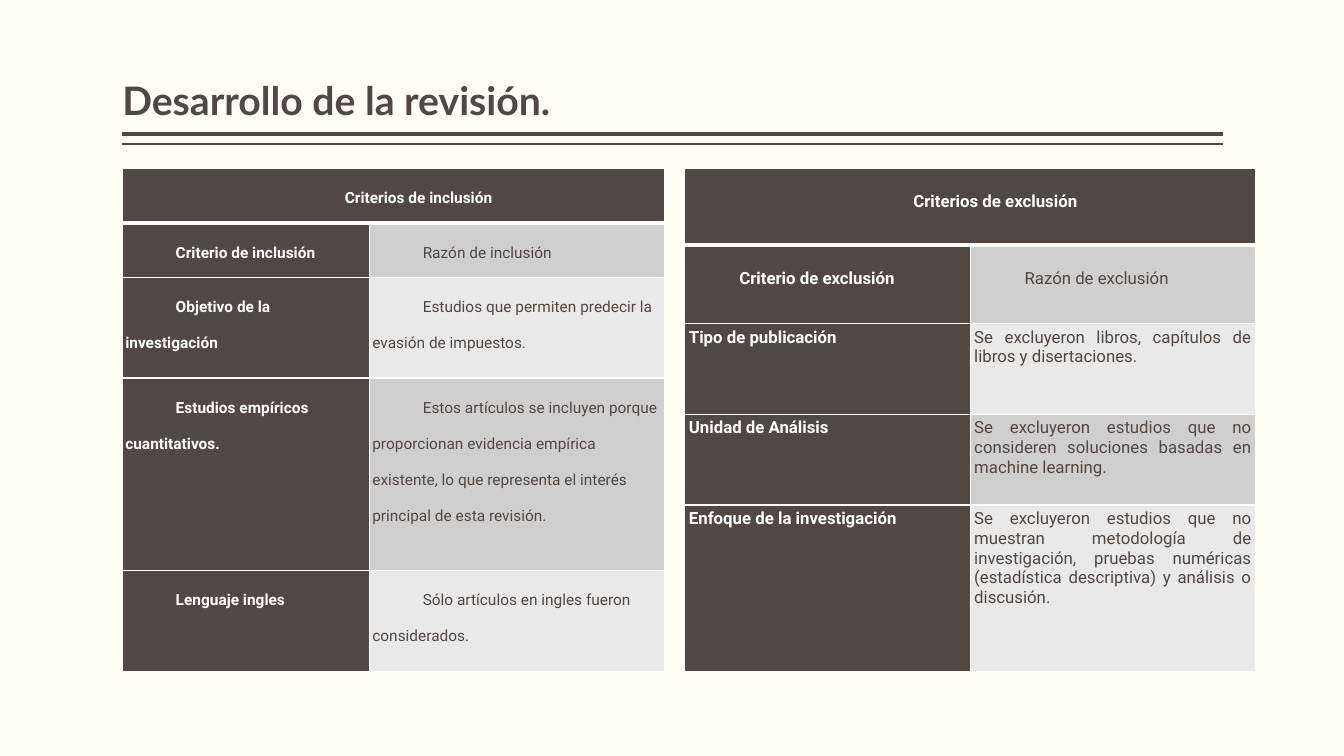
from lxml.etree import SubElement as Sub
from pptx import Presentation
from pptx.dml.color import RGBColor as Rgb
from pptx.enum.shapes import MSO_CONNECTOR as Conn
from pptx.enum.text import MSO_ANCHOR as Anchor, MSO_AUTO_SIZE as Auto, PP_ALIGN as Align
from pptx.oxml.ns import qn
from pptx.util import Inches, Pt

hues = {"paper": "FFFFF3", "dark": "514843", "white": "FFFFFF", "mid": "D0CFCF", "pale": "E9E9E9"}
hue = {name: Rgb.from_string(code) for name, code in hues.items()}

deck = Presentation()
deck.slide_width, deck.slide_height = Inches(13.33), Inches(7.5)
wide, high = deck.slide_width, deck.slide_height
left, right = wide * 0.091, wide * 0.91
top = high * 0.2227

slide = deck.slides.add_slide(deck.slide_layouts[5])
slide.background.fill.solid()
slide.background.fill.fore_color.rgb = hue["paper"]


def style(para, text, form, face):
    para.text = text
    for key, val in form.items():
        setattr(para, key, val)
    font = para.runs[0].font
    for key, val in face.items():
        if key == "color":
            font.color.rgb = hue[val]
        else:
            setattr(font, key, val)


def edge(cell, side, width):
    line = Sub(cell._tc.get_or_add_tcPr(), qn("a:ln" + side), w=str(Pt(width)))
    fill = Sub(line, qn("a:solidFill"))
    Sub(fill, qn("a:srgbClr"), val=hues["white"])


for share, width in ((0.1773, 3), (0.1907, 1)):
    rule = slide.shapes.add_connector(
        Conn.STRAIGHT, int(right), int(high * share), int(left), int(high * share))
    rule.line.color.rgb = hue["dark"]
    rule.line.width = Pt(width)
    Sub(rule._element.spPr, qn("a:effectLst"))

title = slide.shapes.title
place = {"left": left, "top": high * 0.01, "width": right - left, "height": high * 0.16}
for key, val in place.items():
    setattr(title, key, int(val))
frame = title.text_frame
look = {"margin_left": 0, "margin_right": 0, "margin_top": Inches(0.05), "margin_bottom": Inches(0.05),
        "vertical_anchor": Anchor.BOTTOM, "word_wrap": True, "auto_size": Auto.NONE}
for key, val in look.items():
    setattr(frame, key, val)
style(frame.paragraphs[0], "Desarrollo de la revisión.",
      {"alignment": Align.LEFT, "line_spacing": 0.9},
      {"name": "Lato", "size": Pt(28), "bold": True, "color": "dark"})

grids = [
    {"left": 0.091, "cols": (2.45, 2.93), "rows": (0.54, 0.54, 1, 1.91, 1),
     "size": 11, "pad": 0.03, "align": Align.LEFT, "loose": 5,
     "text": [
         ("Criterios de inclusión", ""),
         ("Criterio de inclusión", "Razón de inclusión"),
         ("Objetivo de la investigación", "Estudios que permiten predecir la evasión de impuestos."),
         ("Estudios empíricos cuantitativos.",
          "Estos artículos se incluyen porque proporcionan evidencia empírica existente, "
          "lo que representa el interés principal de esta revisión."),
         ("Lenguaje ingles", "Sólo artículos en ingles fueron considerados.")]},
    {"left": 0.5096, "cols": (2.83, 2.83), "rows": (0.76, 0.78, 0.9, 0.9, 1.65),
     "size": 12, "pad": 0.04, "align": Align.JUSTIFY, "loose": 2,
     "text": [
         ("Criterios de exclusión", ""),
         ("Criterio de exclusión", "Razón de exclusión"),
         ("Tipo de publicación", "Se excluyeron libros, capítulos de libros y disertaciones."),
         ("Unidad de Análisis",
          "Se excluyeron estudios que no consideren soluciones basadas en machine learning."),
         ("Enfoque de la investigación",
          "Se excluyeron estudios que no muestran metodología de investigación, pruebas numéricas "
          "(estadística descriptiva) y análisis o discusión.")]},
]

for grid in grids:
    cols, rows = grid["cols"], grid["rows"]
    table = slide.shapes.add_table(
        len(rows), len(cols), int(wide * grid["left"]), int(top),
        Inches(sum(cols)), Inches(sum(rows))).table
    for col, size in zip(table.columns, cols):
        col.width = Inches(size)
    for row, size in zip(table.rows, rows):
        row.height = Inches(size)
    table.cell(0, 0).merge(table.cell(0, 1))
    for r, pair in enumerate(grid["text"]):
        for c, text in enumerate(pair):
            cell = table.cell(r, c)
            for side in ("left", "right", "top", "bottom"):
                setattr(cell, "margin_" + side, Inches(grid["pad"]))
            for side in "LRTB":
                edge(cell, side, 3 if (r, side) in ((0, "B"), (1, "T")) else 1)
            head = r == 0 or c == 0
            cell.fill.solid()
            cell.fill.fore_color.rgb = hue["dark" if head else "mid" if r % 2 else "pale"]
            if not text:
                continue
            para = cell.text_frame.paragraphs[0]
            loose = r < grid["loose"]
            style(para, text,
                  {"alignment": grid["align"] if r else Align.CENTER,
                   "line_spacing": 2.0 if loose else 1.0},
                  {"name": "Roboto", "size": Pt(grid["size"]), "bold": head,
                   "color": "white" if head else "dark"})
            if loose:
                para._p.get_or_add_pPr().set("indent", str(Inches(0.5)))

deck.save("out.pptx")
